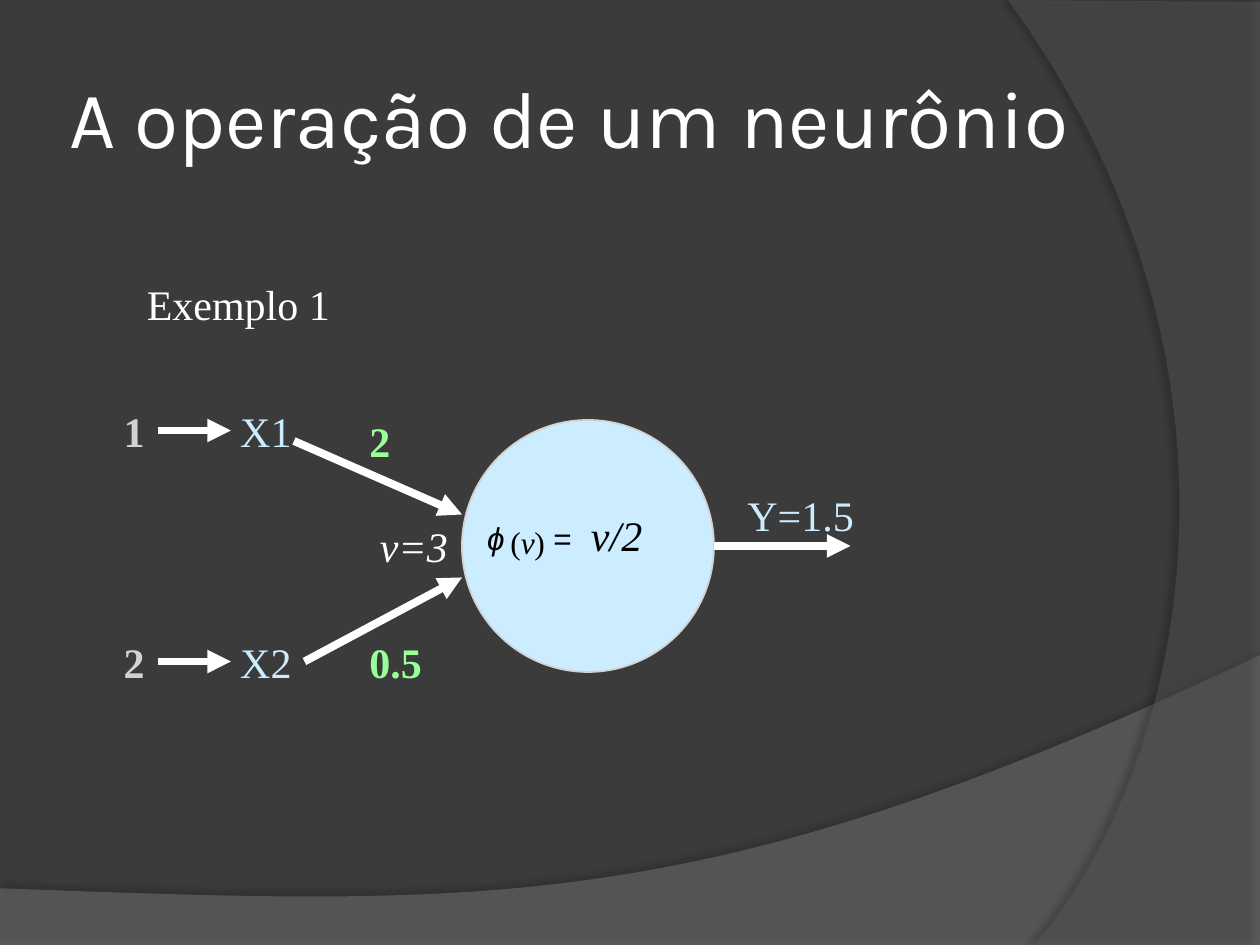
from lxml import etree
from pptx import Presentation
from pptx.dml.color import RGBColor
from pptx.enum.shapes import MSO_CONNECTOR, MSO_SHAPE
from pptx.enum.text import MSO_ANCHOR, MSO_AUTO_SIZE, PP_ALIGN
from pptx.oxml.ns import qn
from pptx.util import Inches, Pt

STRAIGHT = MSO_CONNECTOR.STRAIGHT
OVAL = MSO_SHAPE.OVAL
MIDDLE = MSO_ANCHOR.MIDDLE
LEFT = PP_ALIGN.LEFT
NO_FIT = MSO_AUTO_SIZE.NONE

THEME = {
    "background": "3B3B3B", "white": "FFFFFF", "black": "000000",
    "pale": "CCECFF", "input": "D4D2D0", "weight": "99FF99",
    "title_font": "Karla", "serif": "Times New Roman", "sans": "Arial",
    "title_size": 46, "label_size": 24, "formula_size": 18, "arrow_width": 4.5,
}

prs = Presentation()
prs.slide_width, prs.slide_height = Inches(10), Inches(7.5)
CELL = prs.slide_width / 120  # square grid of 120 columns by 90 rows


def grid(*cells):
    return [round(cell * CELL) for cell in cells]


def add_label(text, left, top, width, color, bold=False, italic=False,
              font="serif", size="label_size", height=6, padded=True):
    box = slide.shapes.add_textbox(*grid(left, top, width, height))
    frame = box.text_frame
    frame.word_wrap = False
    if not padded:
        frame.margin_left = frame.margin_right = 0
        frame.margin_top = frame.margin_bottom = 0
    frame.text = text
    style = frame.paragraphs[0].runs[0].font
    style.name, style.size = THEME[font], Pt(THEME[size])
    style.bold, style.italic = bold, italic
    style.color.rgb = RGBColor.from_string(THEME[color])


slide = prs.slides.add_slide(prs.slide_layouts[5])
slide.background.fill.solid()
slide.background.fill.fore_color.rgb = RGBColor.from_string(THEME["background"])

# Translucent swooshes: straight corners, then one Bezier edge from the last corner.
swooshes = [
    ([(0, 84.6), (0, 90.1), (120, 90.1), (120, 62.4)],
     [(67.1, 87.5), (46.9, 86.3), (0, 84.6)], "7F7F7F", 45, 35, 3.5, 270),
    ([(120, 0.2), (120, 90), (98.5, 90)],
     [(112.2, 74.3), (122.2, 36), (96, 0)], "5E5E5E", 40, 45, 4, 180),
]
STEPS = 60
for corners, edge, color, opacity, shade, distance, direction in swooshes:
    controls = [corners[-1], *edge]
    curve = []
    for step in range(1, STEPS + 1):
        t = step / STEPS
        shares = ((1 - t) ** 3, 3 * t * (1 - t) ** 2, 3 * t * t * (1 - t), t ** 3)
        curve.append([sum(s * point[axis] for s, point in zip(shares, controls))
                      for axis in (0, 1)])
    outline = [grid(*point) for point in corners + curve]
    builder = slide.shapes.build_freeform(*outline[0])
    builder.add_line_segments(outline[1:], close=True)
    swoosh = builder.convert_to_shape()
    swoosh.fill.solid()
    swoosh.fill.fore_color.rgb = RGBColor.from_string(color)
    swoosh.line.fill.background()
    swoosh.shadow.inherit = False
    properties = swoosh._element.spPr
    fill_color = properties.find(qn("a:solidFill"))[0]
    etree.SubElement(fill_color, qn("a:alpha"), val=str(opacity * 1000))
    shadow = etree.SubElement(
        properties.find(qn("a:effectLst")), qn("a:outerShdw"), blurRad=str(Pt(4)),
        dist=str(Pt(distance)), dir=str(direction * 60000), algn="ctr", rotWithShape="0")
    shadow_color = etree.SubElement(shadow, qn("a:srgbClr"), val=THEME["black"])
    etree.SubElement(shadow_color, qn("a:alpha"), val=str(shade * 1000))

title = slide.shapes.title
slide.shapes._spTree.append(title._element)  # in front of the swooshes
title.left, title.top, title.width, title.height = grid(6, 3.6, 98, 15)
heading = title.text_frame
heading.text = "A operação de um neurônio"
heading.auto_size = NO_FIT
heading.vertical_anchor = MIDDLE
heading.margin_left = heading.margin_right = Inches(0.05)
heading.margin_top = heading.margin_bottom = Inches(0.05)
heading.paragraphs[0].alignment = LEFT
heading_font = heading.paragraphs[0].runs[0].font
heading_font.name, heading_font.size = THEME["title_font"], Pt(THEME["title_size"])
heading_font.color.rgb = RGBColor.from_string(THEME["white"])

neuron = slide.shapes.add_shape(OVAL, *grid(44, 40, 24, 24))
neuron.shadow.inherit = False
neuron.fill.solid()
neuron.fill.fore_color.rgb = RGBColor.from_string(THEME["pale"])
neuron.line.color.rgb = RGBColor.from_string(THEME["input"])
neuron.line.width = Pt(1)

arrows = [
    (15, 63, 22, 63), (15, 41, 22, 41),  # values into inputs
    (29, 63, 44, 55), (28, 42, 44, 49),  # inputs into neuron
    (68, 52, 81, 52),                    # neuron to output
]
for ends in arrows:
    arrow = slide.shapes.add_connector(STRAIGHT, *grid(*ends))
    arrow.line.color.rgb = RGBColor.from_string(THEME["white"])
    arrow.line.width = Pt(THEME["arrow_width"])
    etree.SubElement(arrow.line._get_or_add_ln(), qn("a:tailEnd"), type="triangle")
    etree.SubElement(arrow._element.spPr, qn("a:effectLst"))

inputs = [("1", "X1", "2", 38, 39, 4.4), ("2", "X2", "0.5", 60, 60, 7.4)]
for value, name, weight, row, weight_row, weight_width in inputs:
    add_label(value, 10.6, row, 4.4, "input", bold=True)
    add_label(name, 21.7, row, 7.3, "pale")
    add_label(weight, 34, weight_row, weight_width, "weight", bold=True)

formula = [
    ("ϕ", 46.4, 49.4, 1.8, "sans", True), ("(", 48.6, 49.8, 1, "serif", False),
    ("v", 49.6, 49.8, 1.3, "serif", True), (")", 50.9, 49.8, 1, "serif", False),
    ("=", 52.7, 49.4, 1.7, "sans", False),
]
for symbol, left, top, width, font, italic in formula:
    add_label(symbol, left, top, width, "black", italic=italic, font=font,
              size="formula_size", height=3.6, padded=False)

add_label("v/2", 55.1, 47.9, 7.3, "black", italic=True)
add_label("v=3", 35, 49, 9, "white", italic=True)
add_label("Y=1.5", 70, 46, 12.7, "pale")
add_label("Exemplo 1", 12.8, 25.9, 20, "white")

prs.save("out.pptx")
